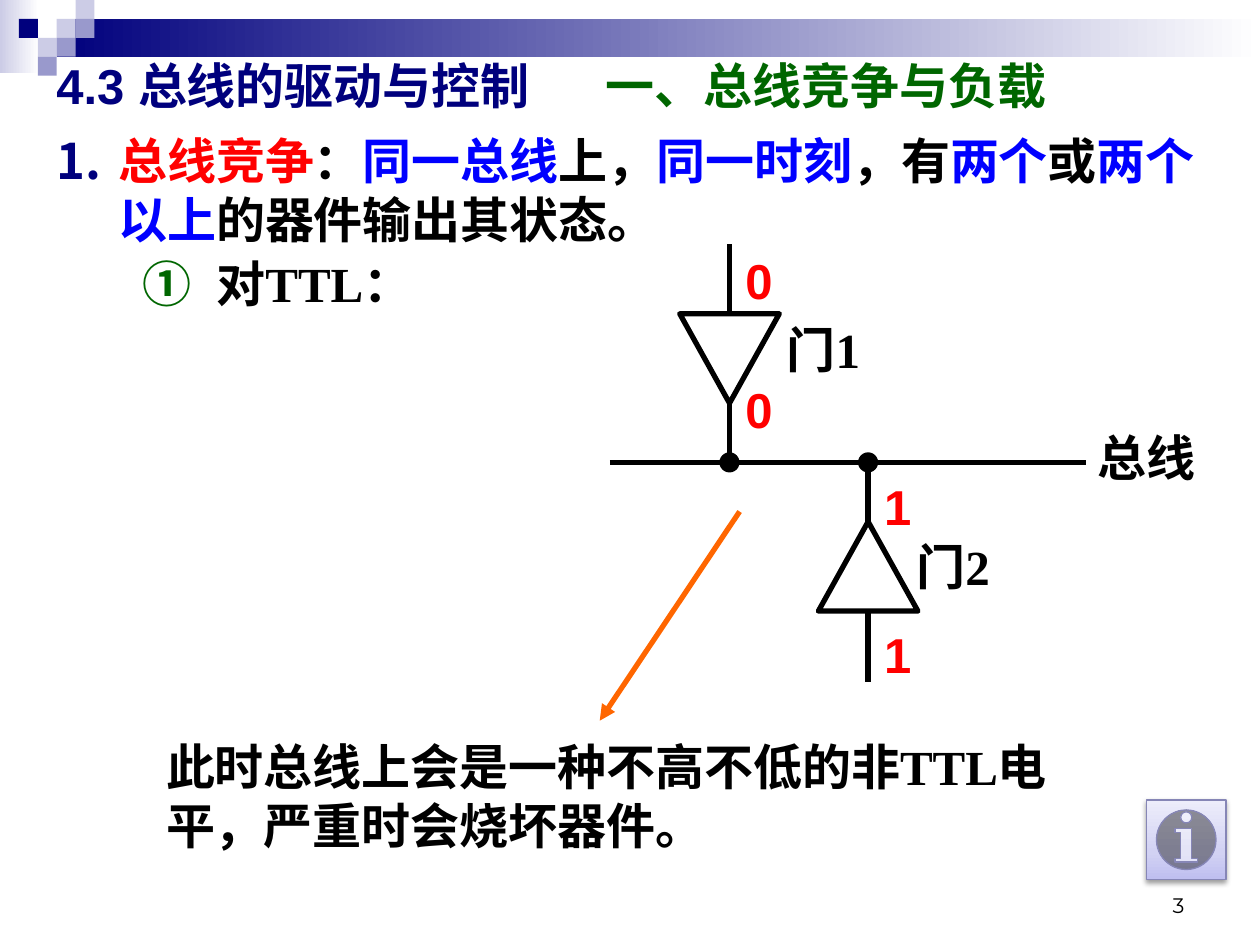
from dataclasses import dataclass

from lxml import etree
from pptx import Presentation
from pptx import util as u
from pptx.dml import color
from pptx.enum import shapes, text
from pptx.oxml import ns


@dataclass(frozen=True)
class Theme:
    navy: str = "00007D"
    lavender: str = "CCCCE6"
    violet: str = "9999CC"
    white: str = "FFFFFF"
    black: str = "000000"
    red: str = "FF0000"
    blue: str = "0000FF"
    green: str = "006600"
    orange: str = "FF6600"
    button_edge: str = "8686B6"
    button_fill: tuple = ((0, "BFBFF0"), (35, "D2D2F3"), (100, "EDEDFB"))
    sans: str = "Arial"
    serif: str = "Times New Roman"
    number_font: str = "Montserrat"
    body_size: int = 28
    number_size: int = 12
    stroke: float = 3


def rgb(value):
    return color.RGBColor.from_string(value)


def assign(target, values):
    for name, value in values.items():
        setattr(target, name, value)


def child(parent, tag, **attributes):
    return etree.SubElement(parent, ns.qn(tag), {k: str(v) for k, v in attributes.items()})


class Board:
    COLUMNS, ROWS = 100, 75

    def __init__(self, deck, theme):
        self.theme = theme
        self.slide = deck.slides.add_slide(deck.slide_layouts[6])
        self.column = deck.slide_width / self.COLUMNS
        self.row = deck.slide_height / self.ROWS

    def place(self, x, y):
        return u.Emu(round(x * self.column)), u.Emu(round(y * self.row))

    def shape(self, preset, x, y, width, height, fill=None, line=None, weight=None):
        item = self.slide.shapes.add_shape(preset, *self.place(x, y), *self.place(width, height))
        item.shadow.inherit = False
        if fill:
            item.fill.solid()
            item.fill.fore_color.rgb = rgb(fill)
        else:
            item.fill.background()
        if line:
            item.line.color.rgb = rgb(line)
            item.line.width = u.Pt(weight or self.theme.stroke)
        else:
            item.line.fill.background()
        return item

    def gradient(self, item, stops, angle=0):
        item.fill.gradient()
        item.fill.gradient_angle = angle
        stop_list = item.element.spPr.find(".//" + ns.qn("a:gsLst"))
        for stop in list(stop_list):
            stop_list.remove(stop)
        for share, value in stops:
            child(child(stop_list, "a:gs", pos=share * 1000), "a:srgbClr", val=value)

    def shadow(self, item, value, alpha, blur, distance):
        effects = item.element.spPr.find(ns.qn("a:effectLst"))
        outer = child(effects, "a:outerShdw", blurRad=u.Pt(blur), dist=u.Pt(distance),
                      dir=90 * 60000, rotWithShape=0)
        child(child(outer, "a:srgbClr", val=value), "a:alpha", val=alpha * 1000)

    def line(self, start, end, ink, arrow=False, end_at=None):
        item = self.slide.shapes.add_connector(
            shapes.MSO_CONNECTOR.STRAIGHT, *self.place(*start), *self.place(*end))
        item.line.color.rgb = rgb(ink)
        item.line.width = u.Pt(self.theme.stroke)
        if end_at:
            item.end_connect(*end_at)
        if arrow:
            child(item.element.spPr.find(ns.qn("a:ln")), "a:tailEnd", type="triangle")
        child(item.element.spPr, "a:effectLst")

    def frame(self, x, y, width, height, align=text.PP_ALIGN.LEFT, anchor=text.MSO_ANCHOR.TOP):
        box = self.slide.shapes.add_textbox(*self.place(x, y), *self.place(width, height))
        frame = box.text_frame
        assign(frame, {"word_wrap": True, "vertical_anchor": anchor})
        frame.paragraphs[0].alignment = align
        return frame

    def runs(self, paragraph, parts, font, size=None, bold=True):
        for words, ink in parts:
            run = paragraph.add_run()
            run.text = words
            assign(run.font, {"name": font, "size": u.Pt(size or self.theme.body_size), "bold": bold})
            run.font.color.rgb = rgb(ink)

    def label(self, words, x, y, width, height, font, ink, align=text.PP_ALIGN.CENTER):
        frame = self.frame(x, y, width, height, align)
        self.runs(frame.paragraphs[0], [(words, ink)], font)

    def numbering(self, paragraph, scheme, ink, margin, hanging):
        properties = paragraph._p.get_or_add_pPr()
        properties.set("marL", str(u.Inches(margin)))
        properties.set("indent", str(-u.Inches(hanging)))
        child(child(properties, "a:buClr"), "a:srgbClr", val=ink)
        child(properties, "a:buAutoNum", type=scheme)


def draw_banner(board):
    theme, preset = board.theme, shapes.MSO_SHAPE.RECTANGLE
    tile = 1.5
    edge = board.shape(preset, 0, 0, 3.1, 5.8)
    board.gradient(edge, [(0, theme.lavender), (100, theme.white)])
    bar = board.shape(preset, 3 * tile, tile, 95.5, 2 * tile)
    board.gradient(bar, [(0, theme.navy), (100, theme.white)])
    mosaic = {
        theme.lavender: [(3, 1), (4, 0), (2, 2)],
        theme.violet: [(4, 1), (3, 2), (2, 3)],
        theme.navy: [(1, 1)],
    }
    for ink, cells in mosaic.items():
        for column, row in cells:
            board.shape(preset, column * tile, row * tile, tile, tile, ink)


def write_content(board):
    theme = board.theme
    heading = board.frame(3.5, 3.6, 91.3, 6.3, anchor=text.MSO_ANCHOR.MIDDLE).paragraphs[0]
    tabs = child(heading._p.get_or_add_pPr(), "a:tabLst")
    child(tabs, "a:tab", pos=u.Inches(4.36), algn="l")
    board.runs(heading, [("4.3 总线的驱动与控制\t", theme.navy), ("一、总线竞争与负载", theme.green)],
               theme.sans)

    body = board.frame(3.5, 9.9, 94.5, 63)
    definition = body.paragraphs[0]
    board.numbering(definition, "arabicPeriod", theme.navy, 0.49, 0.49)
    board.runs(definition, [
        ("总线竞争", theme.red), ("：", theme.black), ("同一总线", theme.blue),
        ("上，", theme.black), ("同一时刻", theme.blue), ("，有", theme.black),
        ("两个", theme.blue), ("或", theme.black), ("两个以上", theme.blue),
        ("的器件输出其状态。", theme.black),
    ], theme.serif)
    case = body.add_paragraph()
    assign(case, {"level": 1, "space_before": u.Pt(3)})
    board.numbering(case, "circleNumDbPlain", theme.green, 1.27, 0.59)
    board.runs(case, [("对TTL：", theme.black)], theme.serif)

    number = board.frame(71.7, 69.8, 23.3, 3.5, text.PP_ALIGN.RIGHT, text.MSO_ANCHOR.BOTTOM)
    board.runs(number.paragraphs[0], [("3", theme.black)], theme.number_font,
               theme.number_size, bold=False)


def draw_circuit(board):
    theme, kinds = board.theme, shapes.MSO_SHAPE
    bus, dot = 36.7, 1.6
    gate_width, gate_height = 7.9, 7.1
    top, bottom = 0, 2
    board.line((48.4, bus), (86.2, bus), theme.black)
    board.label("总线", 84.7, 33.4, 12.6, 5.7, theme.sans, theme.black)
    gates = [
        (kinds.FLOWCHART_MERGE, 57.9, 24.9, 19.4, top, bottom, "0", (19.4, 29.6), "门1", (61, 24.9)),
        (kinds.FLOWCHART_EXTRACT, 68.9, 41.4, 54.1, bottom, top, "1", (37.3, 49.1), "门2", (71.3, 42.1)),
    ]
    for preset, axis, gate_top, lead, input_side, output_side, bit, bit_tops, name, name_at in gates:
        gate = board.shape(preset, axis - gate_width / 2, gate_top, gate_width, gate_height,
                           line=theme.black)
        for end, side in ((lead, input_side), (bus, output_side)):
            board.line((axis, end), (axis, gate_top), theme.black, end_at=(gate, side))
        for bit_top in bit_tops:
            board.label(bit, axis - 0.8, bit_top, 6.3, 5.7, theme.sans, theme.red)
        board.label(name, *name_at, 8.7, 5.7, theme.serif, theme.black)
        board.shape(kinds.OVAL, axis - dot / 2, bus - dot / 2, dot, dot, theme.black)


def draw_conclusion(board):
    theme = board.theme
    board.label("此时总线上会是一种不高不低的非TTL电平，严重时会烧坏器件。", 12.2, 58, 75.6, 10.3,
                theme.serif, theme.black, text.PP_ALIGN.LEFT)
    board.line((58.7, 40.6), (47.6, 57.2), theme.orange, arrow=True)
    button = board.shape(shapes.MSO_SHAPE.ACTION_BUTTON_INFORMATION, 91, 63.5, 6.3, 6.3,
                         line=theme.button_edge, weight=0.75)
    board.gradient(button, theme.button_fill, 90)
    board.shadow(button, theme.black, 38, 3.1, 1.6)


def main():
    deck = Presentation()
    assign(deck, {"slide_width": u.Inches(10), "slide_height": u.Inches(7.5)})
    board = Board(deck, Theme())
    for part in (draw_banner, write_content, draw_circuit, draw_conclusion):
        part(board)
    deck.save("out.pptx")


if __name__ == "__main__":
    main()
